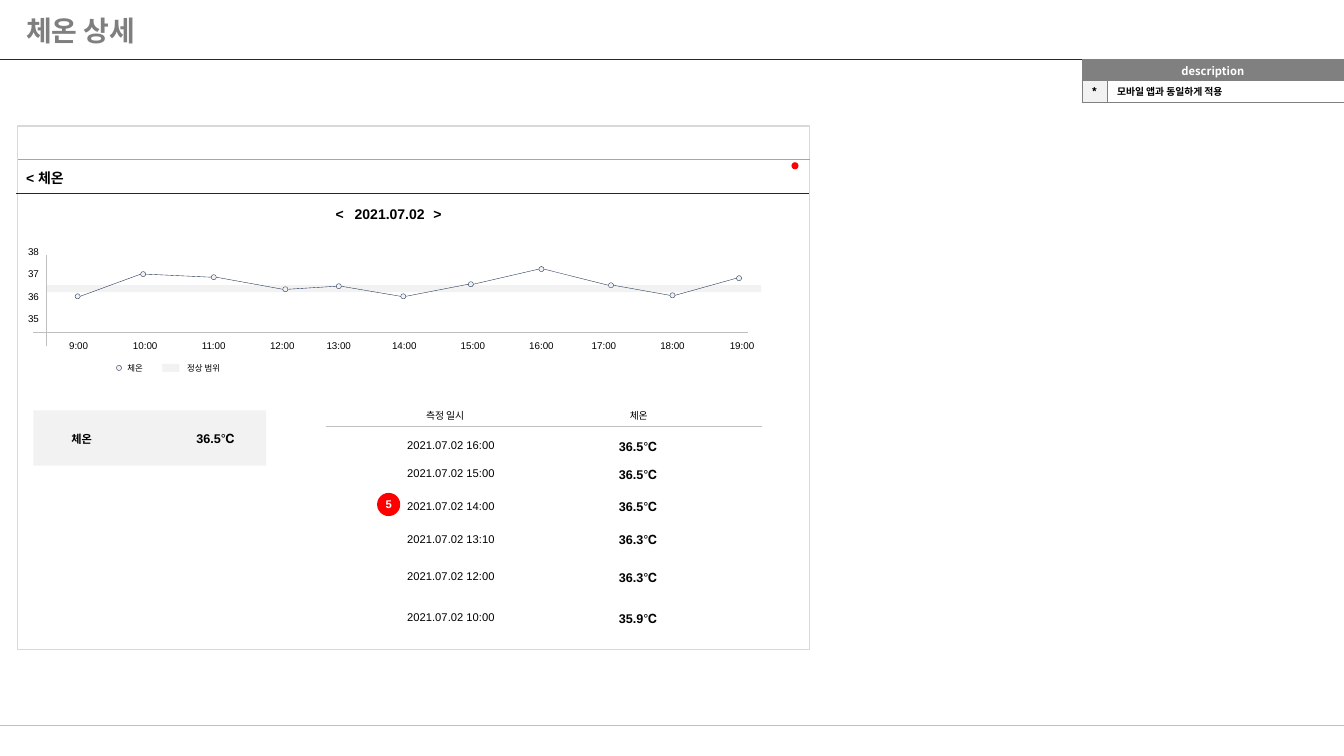
from lxml import etree
from pptx import Presentation
from pptx.dml.color import RGBColor
from pptx.enum.shapes import MSO_CONNECTOR as Connector, MSO_SHAPE as Shape
from pptx.enum.text import MSO_ANCHOR as Anchor, PP_ALIGN as Align
from pptx.oxml.ns import qn
from pptx.util import Inches, Pt

# Content
TITLE = "체온 상세"
SCREEN_TITLE = "< 체온"
DATE_PICKER = "<\t2021.07.02\t>"
DESCRIPTION = ("description", "*", "모바일 앱과 동일하게 적용")
SUMMARY = ("체온", "36.5℃")
SCALE = ["38", "37", "36", "35"]
# time, centre of its label, centre of its marker (x, y)
READINGS = [
    ("9:00", 0.78, 0.77, 2.94), ("10:00", 1.44, 1.42, 2.72),
    ("11:00", 2.12, 2.12, 2.75), ("12:00", 2.8, 2.83, 2.87),
    ("13:00", 3.36, 3.36, 2.84), ("14:00", 4.01, 4.0, 2.94),
    ("15:00", 4.69, 4.67, 2.82), ("16:00", 5.37, 5.37, 2.67),
    ("17:00", 5.99, 6.06, 2.83), ("18:00", 6.67, 6.67, 2.93),
    ("19:00", 7.36, 7.33, 2.76),
]
LEGEND = [("체온", 0.99), ("정상 범위", 1.67)]
LOG_HEADS = [("측정 일시", 4.01), ("체온", 5.93)]
# measured at, value, top of the row
LOG = [
    ("2021.07.02 16:00", "36.5℃", 4.3), ("2021.07.02 15:00", "36.5℃", 4.58),
    ("2021.07.02 14:00", "36.5℃", 4.9), ("2021.07.02 13:10", "36.3℃", 5.23),
    ("2021.07.02 12:00", "36.3℃", 5.6), ("2021.07.02 10:00", "35.9℃", 6.01),
]
COLORS = {
    "white": "FFFFFF", "black": "000000", "red": "FF0000", "navy": "152A4B",
    "marker": "172B4B", "pale": "F2F2F2", "frame": "D9D9D9",
    "axis": "BFBFBF", "rule": "A6A6A6", "grey": "808080", "title": "7F7F7F",
}
MARKER = 0.05

deck = Presentation()
deck.slide_width, deck.slide_height = Inches(13.33), Inches(7.5)
page = deck.slides.add_slide(deck.slide_layouts[6])


def rgb(name):
    return RGBColor.from_string(COLORS[name])


def write(para, text, size, bold=False, color="black", font="Arial", align=Align.LEFT):
    para.alignment = align
    span = para.add_run()
    span.text = text
    span.font.size, span.font.bold, span.font.name = Pt(size), bold, font
    span.font.color.rgb = rgb(color)


def add_text(text, left, top, width, height, size, **style):
    box = page.shapes.add_textbox(Inches(left), Inches(top), Inches(width), Inches(height))
    box.text_frame.word_wrap = True
    write(box.text_frame.paragraphs[0], text, size, **style)
    return box


def add_shape(kind, left, top, width, height, fill, line=None, weight=0.25):
    shape = page.shapes.add_shape(kind, Inches(left), Inches(top), Inches(width), Inches(height))
    shape.shadow.inherit = False
    shape.fill.solid()
    shape.fill.fore_color.rgb = rgb(fill)
    if line:
        shape.line.color.rgb = rgb(line)
        shape.line.width = Pt(weight)
    else:
        shape.line.fill.background()
    return shape


def add_marker(x, y):
    add_shape(Shape.OVAL, x - MARKER / 2, y - MARKER / 2, MARKER, MARKER, "pale", "marker")


def add_line(x1, y1, x2, y2, color, weight=0.25):
    line = page.shapes.add_connector(
        Connector.STRAIGHT, Inches(x1), Inches(y1), Inches(x2), Inches(y2))
    line.line.color.rgb = rgb(color)
    line.line.width = Pt(weight)
    etree.SubElement(line._element.spPr, qn("a:effectLst"))


def style_cell(cell, fill, side):
    cell.vertical_anchor = Anchor.MIDDLE
    cell.margin_left = cell.margin_right = Inches(side)
    cell.margin_top = cell.margin_bottom = Inches(0.02)
    props = cell._tc.get_or_add_tcPr()
    for edge in ("a:lnL", "a:lnR", "a:lnT", "a:lnB"):
        border = etree.SubElement(props, qn(edge), w=str(Pt(0.25)))
        paint = etree.SubElement(border, qn("a:solidFill"))
        etree.SubElement(paint, qn("a:srgbClr"), val=COLORS["grey"])
    cell.fill.solid()
    cell.fill.fore_color.rgb = rgb(fill)


# Page title and rules
add_line(0, 7.2, 13.33, 7.2, "axis", 1)
add_line(0, 0.59, 13.33, 0.59, "navy", 0.75)
title = add_text(TITLE, 0.16, 0.03, 13.03, 0.54, 20, bold=True, color="title", font="Quicksand")
title.text_frame.vertical_anchor = Anchor.MIDDLE

# App screen frame and header
add_shape(Shape.RECTANGLE, 0.17, 1.25, 7.86, 5.19, "white", "frame", 0.75)
add_line(0.18, 1.58, 8.03, 1.58, "rule")
add_text(SCREEN_TITLE, 0.16, 1.63, 3, 0.27, 10, bold=True)
add_line(0.16, 1.92, 8.02, 1.92, "navy")
add_shape(Shape.OVAL, 7.85, 1.61, 0.07, 0.07, "red")

# Date picker, spaced with tab stops
picker = add_text("", 3.23, 1.99, 1.5, 0.27, 10)
para = picker.text_frame.paragraphs[0]
para.clear()
stops = etree.SubElement(para._p.get_or_add_pPr(), qn("a:tabLst"))
for stop in (0.19, 0.97):
    etree.SubElement(stops, qn("a:tab"), pos=str(Inches(stop)), algn="l")
write(para, DATE_PICKER, 10, bold=True)

# Description table
table = page.shapes.add_table(
    2, 2, Inches(10.73), Inches(0.59), Inches(2.6), Inches(0.42)).table
for column, width in zip(table.columns, (0.25, 2.35)):
    column.width = Inches(width)
for row in table.rows:
    row.height = Inches(0.21)
table.cell(0, 0).merge(table.cell(0, 1))
cells = [((0, 0), "grey", "white", 0.04, 8, Align.CENTER),
         ((1, 0), "pale", "black", 0.04, 8, Align.CENTER),
         ((1, 1), "white", "black", 0.1, 7, Align.LEFT)]
for text, (place, fill, color, side, size, align) in zip(DESCRIPTION, cells):
    cell = table.cell(*place)
    style_cell(cell, fill, side)
    write(cell.text_frame.paragraphs[0], text, size, bold=True, color=color,
          font="Noto Sans CJK KR", align=align)

# Graph: normal range, axes and scale
add_shape(Shape.RECTANGLE, 0.46, 2.83, 7.09, 0.07, "pale")
add_line(0.33, 3.3, 7.42, 3.3, "axis", 0.75)
add_line(0.46, 2.53, 0.46, 3.43, "axis", 0.75)
for index, degree in enumerate(SCALE):
    add_text(degree, 0.18, 2.39 + 0.22 * index, 0.35, 0.22, 7)

# Graph: readings, joined from marker edge to marker edge
for time, label_x, x, y in READINGS:
    add_marker(x, y)
    add_text(time, label_x - 0.35, 3.32, 0.7, 0.22, 7, align=Align.CENTER)
for (_, _, x1, y1), (_, _, x2, y2) in zip(READINGS, READINGS[1:]):
    add_line(x1 + MARKER / 2, y1, x2 - MARKER / 2, y2, "navy")

# Legend
add_shape(Shape.RECTANGLE, 1.61, 3.61, 0.17, 0.08, "pale")
add_marker(1.18, 3.65)
for text, left in LEGEND:
    add_text(text, left, 3.55, 0.7, 0.2, 6, align=Align.CENTER)

# Summary card
add_shape(Shape.RECTANGLE, 0.33, 4.07, 2.31, 0.55, "pale")
add_text(SUMMARY[0], 0.61, 4.24, 0.82, 0.24, 8, bold=True)
add_text(SUMMARY[1], 1.85, 4.23, 0.68, 0.25, 9, bold=True)

# Measurement log
for text, left in LOG_HEADS:
    add_text(text, left, 4.02, 0.81, 0.22, 7, align=Align.CENTER)
add_line(3.23, 4.23, 7.56, 4.23, "axis")
for moment, value, top in LOG:
    add_text(moment, 3.94, top, 1.24, 0.24, 8)
    add_text(value, 6.04, top, 0.68, 0.25, 9, bold=True)

# Numbered badge
badge = add_shape(Shape.OVAL, 3.74, 4.89, 0.23, 0.23, "red")
frame = badge.text_frame
frame.margin_left = frame.margin_right = frame.margin_top = frame.margin_bottom = 0
frame.vertical_anchor = Anchor.MIDDLE
write(frame.paragraphs[0], "5", 8, bold=True, color="white", align=Align.CENTER)

deck.save("out.pptx")
